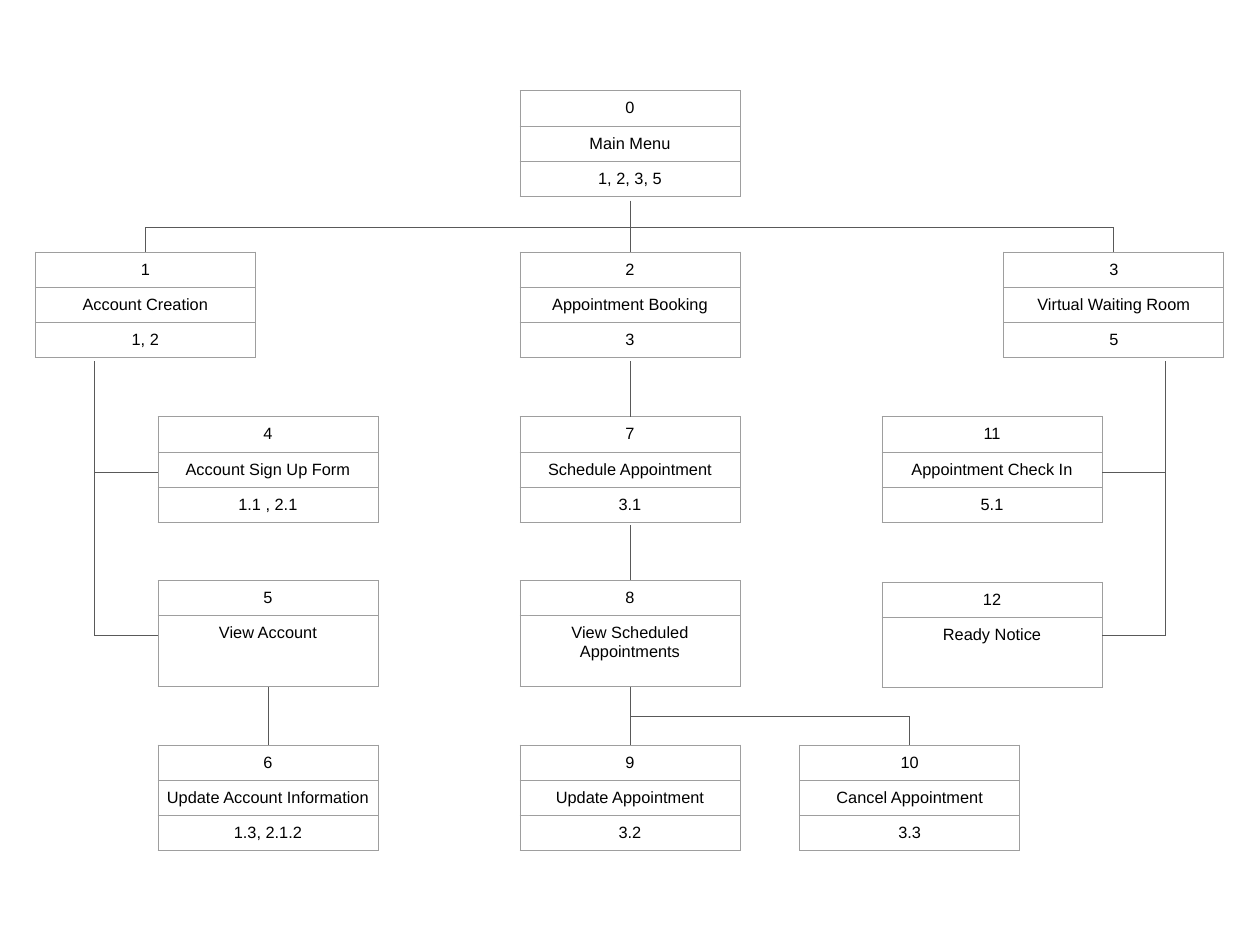
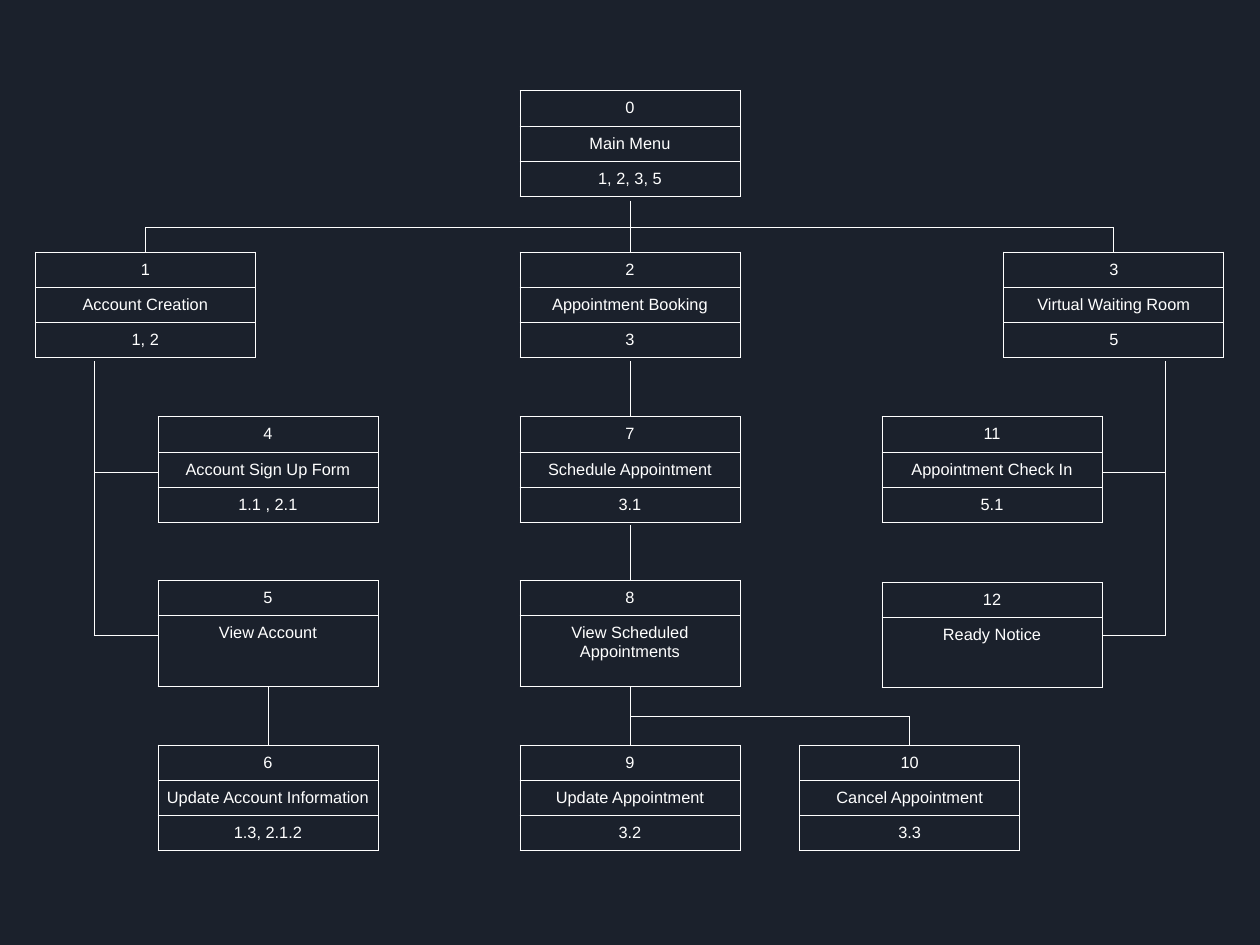
from lxml import etree
from pptx import Presentation
from pptx.dml.color import RGBColor
from pptx.enum.shapes import MSO_CONNECTOR
from pptx.enum.text import PP_ALIGN
from pptx.oxml.ns import qn
from pptx.util import Inches, Pt

STRAIGHT = MSO_CONNECTOR.STRAIGHT
CENTER = PP_ALIGN.CENTER

WHITE = RGBColor(0xFF, 0xFF, 0xFF)
BLACK = RGBColor(0x00, 0x00, 0x00)
NAVY = RGBColor(0x1B, 0x21, 0x2C)
SILVER = RGBColor(0x9E, 0x9E, 0x9E)
GRAY = RGBColor(0x59, 0x59, 0x59)

LIGHT = {"back": WHITE, "text": BLACK, "edge": SILVER, "link": GRAY}
DARK = {"back": NAVY, "text": WHITE, "edge": WHITE, "link": WHITE}

WIDE, TALL = 15, 11.25
BOX, ROW, FRAME = 2.62, 0.42, 3.28
HALF = BOX / 2
MID = WIDE / 2
STROKE = Pt(0.75)
MARGINS = dict.fromkeys(
    ("margin_left", "margin_right", "margin_top", "margin_bottom"), Inches(0.1))

FAR_L, NEAR_L, CORE, NEXT = 0.42, 1.88, MID - HALF, 9.52
NEAR_R, FAR_R = WIDE - NEAR_L - BOX, 11.95
ROOT, HEADS, FORMS, VIEWS, EDITS = 1.08, 3, 4.96, 6.91, 8.87
RAIL = 1.13
FORK, BRANCH = 2.71, 8.53

BOXES = [
    (CORE, ROOT, "0", "Main Menu", "1, 2, 3, 5"),
    (FAR_L, HEADS, "1", "Account Creation", "1, 2"),
    (CORE, HEADS, "2", "Appointment Booking", "3"),
    (FAR_R, HEADS, "3", "Virtual Waiting Room", "5"),
    (NEAR_L, FORMS, "4", "Account Sign Up Form", "1.1 , 2.1"),
    (NEAR_L, VIEWS, "5", "View Account", ""),
    (NEAR_L, EDITS, "6", "Update Account Information", "1.3, 2.1.2"),
    (CORE, FORMS, "7", "Schedule Appointment", "3.1"),
    (CORE, VIEWS, "8", "View Scheduled Appointments", ""),
    (CORE, EDITS, "9", "Update Appointment", "3.2"),
    (NEAR_R, FORMS, "11", "Appointment Check In", "5.1"),
    (NEAR_R, 6.93, "12", "Ready Notice", ""),
    (NEXT, EDITS, "10", "Cancel Appointment", "3.3"),
]


def set_all(target, values):
    """Set each attribute in a dict."""
    for name, value in values.items():
        setattr(target, name, value)


def edge_cell(cell, color):
    """Draw a thin solid border on all sides of a cell."""
    props = cell._tc.get_or_add_tcPr()
    for place, side in enumerate(("lnL", "lnR", "lnT", "lnB")):
        line = etree.Element(qn(f"a:{side}"), w=str(STROKE))
        fill = etree.SubElement(line, qn("a:solidFill"))
        etree.SubElement(fill, qn("a:srgbClr"), val=str(color))
        props.insert(place, line)


def draw_box(slide, theme, left, top, *texts):
    """Draw one screen as a table of number, name and references."""
    frame = slide.shapes.add_table(
        len(texts), 1, Inches(left), Inches(top), Inches(BOX), Inches(ROW * len(texts)))
    table = frame.table
    set_all(table, {"first_row": False, "horz_banding": False})
    for row, text in enumerate(texts):
        cell = table.cell(row, 0)
        set_all(cell, MARGINS)
        cell.fill.background()
        edge_cell(cell, theme["edge"])
        para = cell.text_frame.paragraphs[0]
        para.alignment = CENTER
        run = para.add_run()
        run.text = text
        set_all(run.font, {"name": "Arial", "size": Pt(14)})
        run.font.color.rgb = theme["text"]
    if not texts[-1]:
        table.cell(1, 0).merge(table.cell(2, 0))
    set_all(frame, {"width": Inches(FRAME), "height": Inches(FRAME)})


def draw_line(slide, theme, *ends):
    """Draw a thin line between two points."""
    line = slide.shapes.add_connector(STRAIGHT, *map(Inches, ends))
    line.line.width = STROKE
    line.line.color.rgb = theme["link"]
    etree.SubElement(line._element.spPr, qn("a:effectLst"))


def link_root(slide, theme):
    """Join the main menu to its three heads."""
    first, last = FAR_L + HALF, FAR_R + HALF
    for x, start in ((first, FORK), (MID, 2.39), (last, FORK)):
        draw_line(slide, theme, x, start, x, HEADS)
    draw_line(slide, theme, first, FORK, last, FORK)


def link_side(slide, theme, rail, side):
    """Join a head to the two boxes beside its rail."""
    draw_line(slide, theme, rail, 4.3, rail, 7.57)
    for y in (5.62, 7.57):
        draw_line(slide, theme, side, y, rail, y)


def link_down(slide, theme):
    """Join the boxes that stand under one another."""
    for x, start, end in ((NEAR_L + HALF, 8.18, EDITS), (MID, 4.3, FORMS),
                          (MID, 6.25, VIEWS), (MID, 8.18, EDITS)):
        draw_line(slide, theme, x, end, x, start)
    last = NEXT + HALF
    draw_line(slide, theme, last, BRANCH, MID, BRANCH)
    draw_line(slide, theme, last, EDITS, last, BRANCH)


def draw_map(deck, theme):
    """Add a slide with the whole screen map."""
    slide = deck.slides.add_slide(deck.slide_layouts[6])
    fill = slide.background.fill
    fill.solid()
    fill.fore_color.rgb = theme["back"]
    for box in BOXES:
        draw_box(slide, theme, *box)
    link_root(slide, theme)
    link_side(slide, theme, RAIL, NEAR_L)
    link_side(slide, theme, WIDE - RAIL, NEAR_R + BOX)
    link_down(slide, theme)


def main():
    """Build and save the deck."""
    deck = Presentation()
    set_all(deck, {"slide_width": Inches(WIDE), "slide_height": Inches(TALL)})
    for theme in (LIGHT, DARK):
        draw_map(deck, theme)
    deck.save("out.pptx")


if __name__ == "__main__":
    main()
